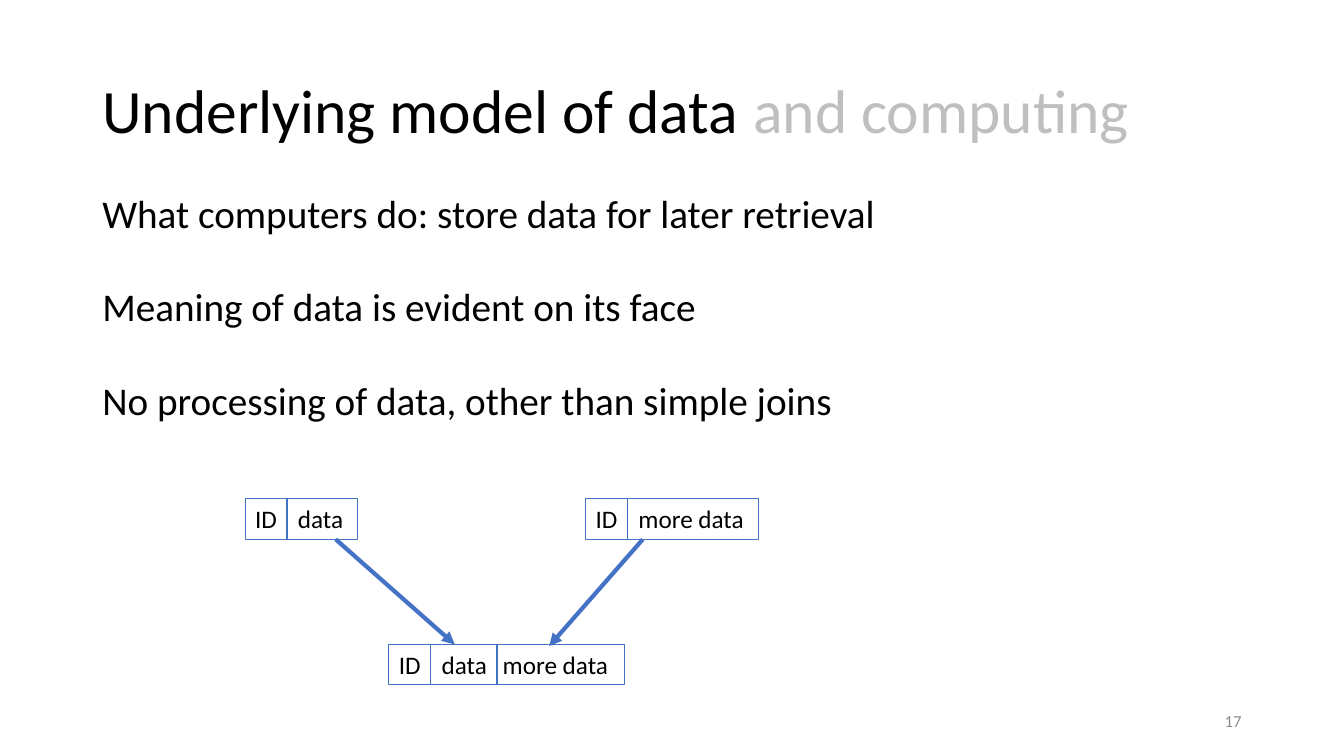
from lxml import etree
from pptx import Presentation
from pptx.dml.color import RGBColor
from pptx.enum.shapes import MSO_CONNECTOR, MSO_SHAPE
from pptx.enum.text import MSO_ANCHOR, PP_ALIGN
from pptx.oxml.ns import qn
from pptx.util import Cm, Pt

RECTANGLE = MSO_SHAPE.RECTANGLE
STRAIGHT = MSO_CONNECTOR.STRAIGHT
TOP, MIDDLE = MSO_ANCHOR.TOP, MSO_ANCHOR.MIDDLE
LEFT, RIGHT = PP_ALIGN.LEFT, PP_ALIGN.RIGHT
BLACK, GREY, NUMBER_GREY, BLUE = "000000", "BFBFBF", "8C8C8C", "4472C4"
RECORD_HEIGHT = 1.02
TAB_STOPS = [1.08, 2.62]


def write(shape, paragraphs, size, anchor=TOP, **paragraph_format):
    """Fill a shape with paragraphs, each a list of (text, colour) runs."""
    frame = shape.text_frame
    frame.word_wrap = True
    frame.vertical_anchor = anchor
    for index, runs in enumerate(paragraphs):
        paragraph = frame.add_paragraph() if index else frame.paragraphs[0]
        for name, value in paragraph_format.items():
            if index or name != "space_before":
                setattr(paragraph, name, value)
        for text, colour in runs:
            run = paragraph.add_run()
            run.text = text
            for name, value in {"name": "Calibri", "size": Pt(size)}.items():
                setattr(run.font, name, value)
            run.font.color.rgb = RGBColor.from_string(colour)


def add_line(shapes, start, end, width):
    connector = shapes.add_connector(STRAIGHT, *map(Cm, start + end))
    connector.line.color.rgb = RGBColor.from_string(BLUE)
    connector.line.width = Pt(width)
    etree.SubElement(connector._element.spPr, qn("a:effectLst"))
    return connector


presentation = Presentation()
presentation.slide_width = Cm(33.87)
presentation.slide_height = Cm(19.05)
slide = presentation.slides.add_slide(presentation.slide_layouts[6])

# Title, body and slide number
title = slide.shapes.add_textbox(Cm(2.33), Cm(1.01), Cm(29.21), Cm(3.68))
write(title, [[("Underlying model of data ", BLACK), ("and computing", GREY)]],
      44, MIDDLE, line_spacing=0.9)

statements = [
    "What computers do: store data for later retrieval",
    "Meaning of data is evident on its face",
    "No processing of data, other than simple joins",
]
body = slide.shapes.add_textbox(Cm(2.33), Cm(4.65), Cm(29.21), Cm(12.09))
write(body, [[(statement, BLACK)] for statement in statements],
      28, space_before=Pt(33))

number = slide.shapes.add_textbox(Cm(23.92), Cm(17.65), Cm(7.62), Cm(1.02))
write(number, [[("17", NUMBER_GREY)]], 12, MIDDLE, alignment=RIGHT)

# Records: left, top, width, fields, divider offsets
records = [
    (6.18, 12.57, 2.82, ["ID", "data"], [1.05]),
    (14.76, 12.57, 4.35, ["ID", "more data"], [1.05]),
    (9.8, 16.24, 5.94, ["ID", "data", "more data"], [1.05, 2.72]),
]
for left, top, width, fields, dividers in records:
    group = slide.shapes.add_group_shape()
    record = group.shapes.add_shape(
        RECTANGLE, Cm(left), Cm(top), Cm(width), Cm(RECORD_HEIGHT))
    record.shadow.inherit = False
    record.fill.background()
    record.line.color.rgb = RGBColor.from_string(BLUE)
    record.line.width = Pt(0.75)
    write(record, [[("\t".join(fields), BLACK)]], 18, alignment=LEFT)
    record.text_frame.margin_right = 0

    # Tab stops line the fields up with the dividers
    properties = record.text_frame.paragraphs[0]._p.get_or_add_pPr()
    tab_list = etree.SubElement(properties, qn("a:tabLst"))
    for stop in TAB_STOPS[:len(dividers)]:
        etree.SubElement(tab_list, qn("a:tab"), pos=str(int(Cm(stop))), algn="l")
    for offset in dividers:
        x = left + offset
        add_line(group.shapes, (x, top), (x, top + RECORD_HEIGHT), 1)

# Join arrows
for start, end in [((8.46, 13.59), (11.46, 16.24)),
                   ((16.2, 13.59), (13.84, 16.28))]:
    arrow = add_line(slide.shapes, start, end, 3)
    etree.SubElement(arrow.line._get_or_add_ln(), qn("a:tailEnd"), type="triangle")

presentation.save("out.pptx")
